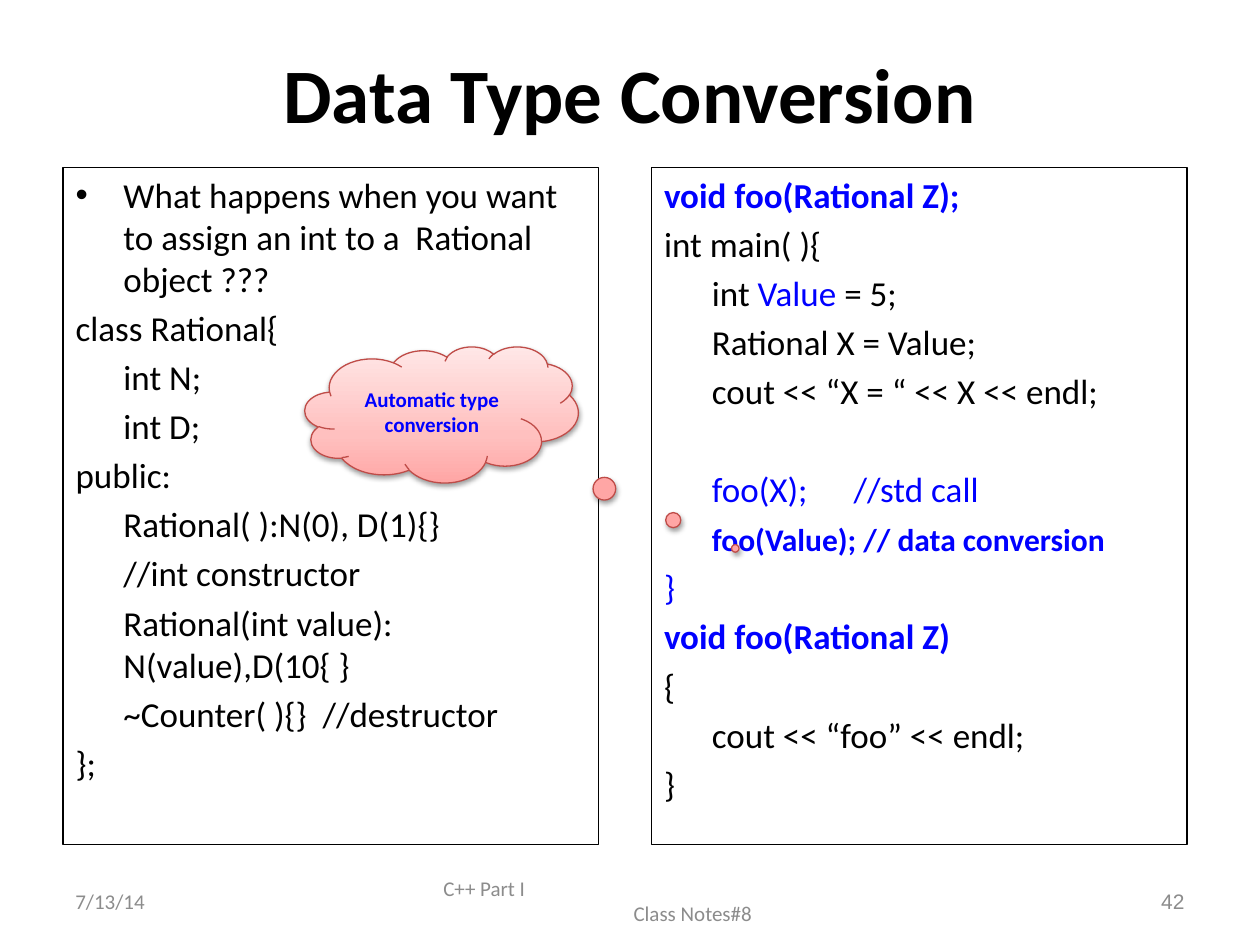
import copy

import lxml.etree
import pptx
import pptx.dml.color
import pptx.enum.shapes
import pptx.enum.text
import pptx.oxml
import pptx.oxml.ns
import pptx.util

Inches = pptx.util.Inches
Pt = pptx.util.Pt
RGBColor = pptx.dml.color.RGBColor
ALIGN = pptx.enum.text.PP_ALIGN
MIDDLE = pptx.enum.text.MSO_ANCHOR.MIDDLE

BLACK = RGBColor(0x00, 0x00, 0x00)
BLUE = RGBColor(0x00, 0x00, 0xFF)
GRAY = RGBColor(0x8C, 0x8C, 0x8C)
CLOUD_EDGE = RGBColor(0xBF, 0x4C, 0x48)
CLOUD_STOPS = [
    (0, RGBColor(0xFF, 0xA6, 0xA5)),
    (0.35, RGBColor(0xFF, 0xC0, 0xBF)),
    (1, RGBColor(0xFF, 0xE7, 0xE7)),
]

MARGIN = 0.5
COLUMN_TOP = 1.33
COLUMN_WIDTH = 4.25
COLUMN_HEIGHT = 5.37
COLUMN_STEP = 4.67
HANG = Inches(0.38)


def place(shape, left, top, width, height):
    shape.left, shape.top = Inches(left), Inches(top)
    shape.width, shape.height = Inches(width), Inches(height)


def style(paragraph, size, color, bold=False, name="Calibri"):
    paragraph.font.size = Pt(size)
    paragraph.font.color.rgb = color
    paragraph.font.bold = bold
    paragraph.font.name = name


presentation = pptx.Presentation()
presentation.slide_width = Inches(10)
presentation.slide_height = Inches(7.5)
slide = presentation.slides.add_slide(presentation.slide_layouts[3])

title = slide.shapes.title
place(title, MARGIN, 0.3, 9, 0.87)
title.text_frame.text = "Data Type Conversion"
title.text_frame.auto_size = pptx.enum.text.MSO_AUTO_SIZE.NONE
style(title.text_frame.paragraphs[0], 44, BLACK, True)

class_code = [
    ("What happens when you want to assign an int to a  Rational object ???", BLACK, False),
    ("class Rational{", BLACK, False),
    ("\tint N;", BLACK, False),
    ("\tint D;", BLACK, False),
    ("public:", BLACK, False),
    ("\tRational( ):N(0), D(1){}", BLACK, False),
    ("\t//int constructor", BLACK, False),
    ("\tRational(int value): N(value),D(10{ }", BLACK, False),
    ("\t~Counter( ){}  //destructor", BLACK, False),
    ("};", BLACK, False),
]
main_code = [
    ("void foo(Rational Z);", BLUE, True),
    ("int main( ){", BLACK, False),
    ("\tint |Value |= 5;", BLACK, False),
    ("\tRational X = Value;", BLACK, False),
    ("\tcout << “X = “ << X << endl;", BLACK, False),
    ("\tfoo(X);\t  //std call", BLUE, False),
    ("\t|foo(Value); // data conversion", BLUE, True),
    ("}", BLUE, False),
    ("void foo(Rational Z)", BLUE, True),
    ("{", BLACK, False),
    ("\tcout << “foo” << endl;", BLACK, False),
    ("}", BLACK, False),
]

columns = []
for column, lines in enumerate([class_code, main_code]):
    body = slide.placeholders[column + 1]
    place(body, MARGIN + column * COLUMN_STEP, COLUMN_TOP, COLUMN_WIDTH, COLUMN_HEIGHT)
    body.line.color.rgb = BLACK
    body.line.width = Pt(0.75)
    frame = body.text_frame
    frame.auto_size = pptx.enum.text.MSO_AUTO_SIZE.NONE
    for row, (text, color, bold) in enumerate(lines):
        paragraph = frame.add_paragraph() if row else frame.paragraphs[0]
        for part in text.split("|"):
            paragraph.add_run().text = part
        style(paragraph, 20, color, bold)
        properties = paragraph._p.get_or_add_pPr()
        properties.set("marL", str(HANG))
        properties.set("indent", str(-HANG))
        if column or row:
            lxml.etree.SubElement(properties, pptx.oxml.ns.qn("a:buNone"))
    columns.append(frame.paragraphs)

columns[1][2].runs[1].font.color.rgb = BLUE
columns[1][5].space_before = Pt(32)
columns[1][6].runs[1].font.size = Pt(18)

footers = [
    (0.5, 2.33, ["7/13/14"], ALIGN.LEFT, "Calibri"),
    (3.42, 3.17, ["C++ Part I", "Class Notes#8"], ALIGN.LEFT, "Calibri"),
    (7.17, 2.33, ["42"], ALIGN.RIGHT, "Arial"),
]
for left, width, lines, alignment, font_name in footers:
    footer = slide.shapes.add_textbox(Inches(left), Inches(6.95), Inches(width), Inches(0.4))
    frame = footer.text_frame
    frame.word_wrap = True
    frame.vertical_anchor = MIDDLE
    frame.text = "\n".join(lines)
    for row, paragraph in enumerate(frame.paragraphs):
        paragraph.alignment = alignment
        style(paragraph, 12, GRAY, name=font_name)
        if row:
            paragraph._p.get_or_add_pPr().set("marL", str(Inches(1.51)))

cloud = slide.shapes.add_shape(
    pptx.enum.shapes.MSO_SHAPE.CLOUD_CALLOUT,
    Inches(2.42), Inches(2.75), Inches(2.17), Inches(1.08),
)
cloud.adjustments[0] = 1.074
cloud.adjustments[1] = 0.984
cloud.line.color.rgb = CLOUD_EDGE
cloud.line.width = Pt(0.75)
cloud.fill.gradient()
cloud.fill.gradient_angle = 90
stop_list = cloud._element.spPr.find(".//" + pptx.oxml.ns.qn("a:gsLst"))
stop_list.insert(1, copy.deepcopy(stop_list[0]))
for stop, (position, color) in zip(cloud.fill.gradient_stops, CLOUD_STOPS):
    stop.position = position
    stop.color.rgb = color

cloud.shadow.inherit = False
effects = cloud._element.spPr.find(pptx.oxml.ns.qn("a:effectLst"))
effects.append(pptx.oxml.parse_xml(
    f'<a:outerShdw {pptx.oxml.ns.nsdecls("a")} blurRad="{Pt(3.1)}" dist="{Pt(1.6)}" '
    'dir="5400000" rotWithShape="0"><a:srgbClr val="000000">'
    '<a:alpha val="38000"/></a:srgbClr></a:outerShdw>'
))

cloud.text_frame.word_wrap = True
cloud.text_frame.vertical_anchor = MIDDLE
cloud.text_frame.text = "Automatic type conversion"
cloud.text_frame.paragraphs[0].alignment = ALIGN.CENTER
style(cloud.text_frame.paragraphs[0], 12, BLUE, True)

presentation.save("out.pptx")
